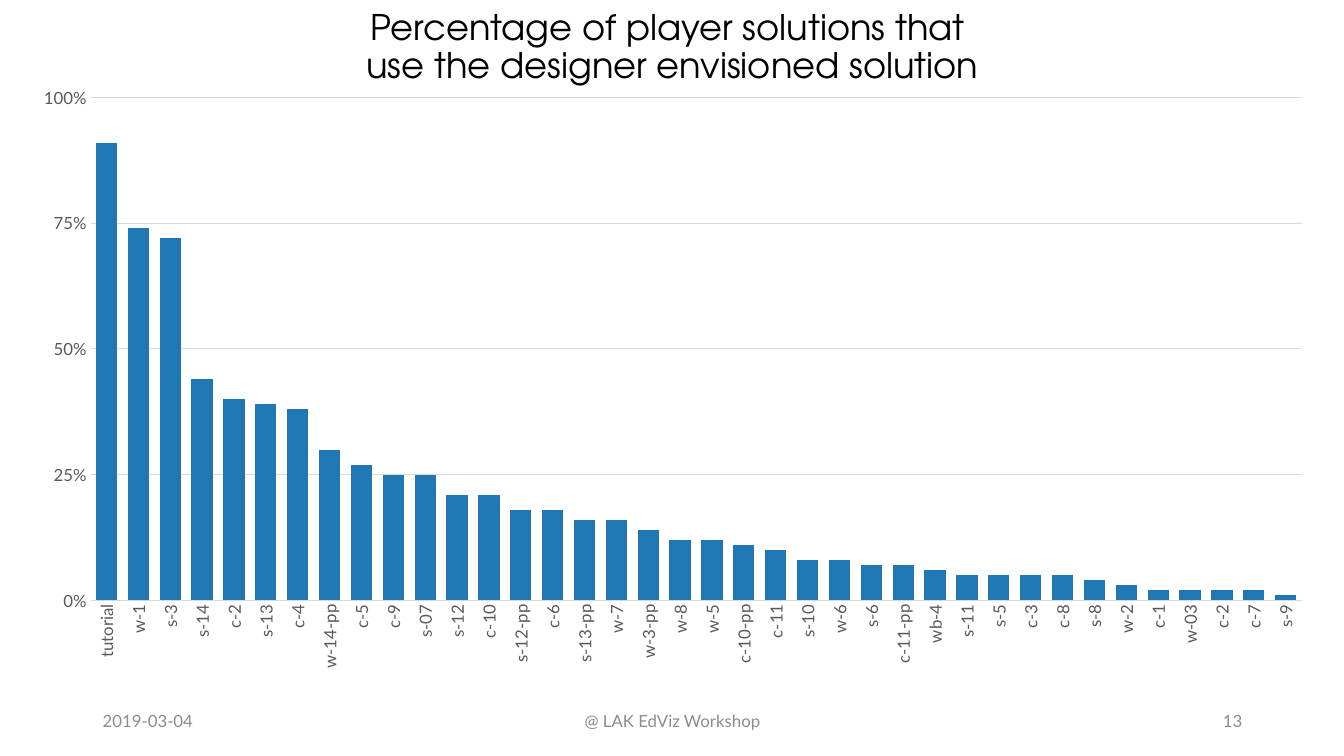
from dataclasses import dataclass

from lxml import etree
from pptx import Presentation
from pptx import util as u
from pptx.chart.data import CategoryChartData
from pptx.dml.color import RGBColor
from pptx.enum import chart as charts
from pptx.enum import text
from pptx.oxml import parse_xml
from pptx.oxml.ns import nsdecls, qn

PX = 9144
LEVELS = (
    "tutorial w-1 s-3 s-14 c-2 s-13 c-4 w-14-pp c-5 c-9 s-07 s-12 c-10 s-12-pp c-6 "
    "s-13-pp w-7 w-3-pp w-8 w-5 c-10-pp c-11 s-10 w-6 s-6 c-11-pp wb-4 s-11 s-5 "
    "c-3 c-8 s-8 w-2 c-1 w-03 c-2 c-7 s-9"
).split()
SHARES = [
    0.91, 0.74, 0.72, 0.44, 0.4, 0.39, 0.38, 0.3, 0.27, 0.25, 0.25, 0.21, 0.21,
    0.18, 0.18, 0.16, 0.16, 0.14, 0.12, 0.12, 0.11, 0.1, 0.08, 0.08, 0.07, 0.07,
    0.06, 0.05, 0.05, 0.05, 0.05, 0.04, 0.03, 0.02, 0.02, 0.02, 0.02, 0.01,
]


@dataclass(frozen=True)
class Theme:
    """Colours, fonts and type sizes of the slide."""

    title_font: str = "TeX Gyre Adventor"
    body_font: str = "Lato"
    title_size: float = 25.2
    small_size: float = 12
    title_color: str = "000000"
    footer_color: str = "8C8C8C"
    axis_color: str = "595959"
    grid_color: str = "D9D9D9"
    bar_color: str = "1F78B4"


THEME = Theme()


def scale(box):
    """Turn a box in px into EMU lengths."""
    return [u.Emu(length * PX) for length in box]


def set_font(font, name, size, color):
    """Apply a typeface, size and colour to a font."""
    font.name = name
    font.size = u.Pt(size)
    font.color.rgb = RGBColor.from_string(color)


def set_line(line_format, color):
    """Give an axis or gridline a thin solid line."""
    line_format.color.rgb = RGBColor.from_string(color)
    line_format.width = u.Pt(0.75)


def add_title(slide, box, wording):
    """Fill the title placeholder and place it in the box."""
    title = slide.shapes.title
    title.left, title.top, title.width, title.height = scale(box)
    frame = title.text_frame
    frame.text = wording
    frame.word_wrap = True
    frame.auto_size = text.MSO_AUTO_SIZE.NONE
    frame.vertical_anchor = text.MSO_ANCHOR.MIDDLE
    paragraph = frame.paragraphs[0]
    paragraph.alignment = text.PP_ALIGN.CENTER
    paragraph.line_spacing = 0.9
    set_font(paragraph.font, THEME.title_font, THEME.title_size, THEME.title_color)


def set_plot_area(chart, x, y, w, h):
    """Fix the inner plot area as fractions of the chart."""
    plot_area = chart._chartSpace.chart.plotArea
    for layout in plot_area.findall(qn("c:layout")):
        plot_area.remove(layout)
    layout = parse_xml(f"<c:layout {nsdecls('c')}/>")
    manual = etree.SubElement(layout, qn("c:manualLayout"))
    settings = dict(layoutTarget="inner", xMode="edge", yMode="edge", x=x, y=y, w=w, h=h)
    for name, value in settings.items():
        etree.SubElement(manual, qn(f"c:{name}")).set("val", str(value))
    plot_area.insert(0, layout)


def add_share_chart(slide, box):
    """Add the column chart of solution shares by level."""
    chart_data = CategoryChartData(number_format="0%")
    chart_data.categories = LEVELS
    chart_data.add_series("Series 1", SHARES)
    frame = slide.shapes.add_chart(
        charts.XL_CHART_TYPE.COLUMN_STACKED, *scale(box), chart_data
    )
    chart = frame.chart
    chart.has_title = False
    chart.has_legend = False
    set_font(chart.font, THEME.body_font, THEME.small_size, THEME.axis_color)
    plot = chart.plots[0]
    plot.gap_width = 50
    plot.overlap = 100
    plot.vary_by_categories = False
    fill = plot.series[0].format.fill
    fill.solid()
    fill.fore_color.rgb = RGBColor.from_string(THEME.bar_color)
    for axis in (chart.category_axis, chart.value_axis):
        axis.major_tick_mark = axis.minor_tick_mark = charts.XL_TICK_MARK.NONE
        set_font(axis.tick_labels.font, THEME.body_font, THEME.small_size, THEME.axis_color)
    levels, shares = chart.category_axis, chart.value_axis
    set_line(levels.format.line, THEME.grid_color)
    label_body = levels._element.find(qn("c:txPr")).find(qn("a:bodyPr"))
    label_body.set("rot", "-5400000")
    label_body.set("vert", "horz")
    shares.minimum_scale, shares.maximum_scale, shares.major_unit = 0, 1, 0.25
    shares.tick_labels.number_format = "0%"
    shares.tick_labels.number_format_is_linked = False
    shares.format.line.fill.background()
    shares.has_major_gridlines = True
    set_line(shares.major_gridlines.format.line, THEME.grid_color)
    set_plot_area(chart, 0.056, 0.036, 0.924, 0.832)


def add_footer(slide, box):
    """Place date, event and slide number across the box."""
    left, top, width, height = box
    side, middle = 300, 450
    parts = (
        ("2019-03-04", left, side, text.PP_ALIGN.LEFT),
        ("@ LAK EdViz Workshop", left + (width - middle) // 2, middle, text.PP_ALIGN.CENTER),
        ("13", left + width - side, side, text.PP_ALIGN.RIGHT),
    )
    for wording, x, part_width, alignment in parts:
        frame = slide.shapes.add_textbox(*scale((x, top, part_width, height))).text_frame
        frame.word_wrap = True
        frame.vertical_anchor = text.MSO_ANCHOR.MIDDLE
        frame.text = wording
        paragraph = frame.paragraphs[0]
        paragraph.alignment = alignment
        set_font(paragraph.font, THEME.body_font, THEME.small_size, THEME.footer_color)


def main():
    """Build the slide and save it."""
    presentation = Presentation()
    presentation.slide_width, presentation.slide_height = scale((1333, 750))
    slide = presentation.slides.add_slide(presentation.slide_layouts[5])
    add_title(
        slide,
        (92, 3, 1150, 90),
        "Percentage of player solutions that \vuse the designer envisioned solution",
    )
    add_share_chart(slide, (17, 75, 1300, 600))
    add_footer(slide, (92, 695, 1150, 40))
    presentation.save("out.pptx")


if __name__ == "__main__":
    main()
